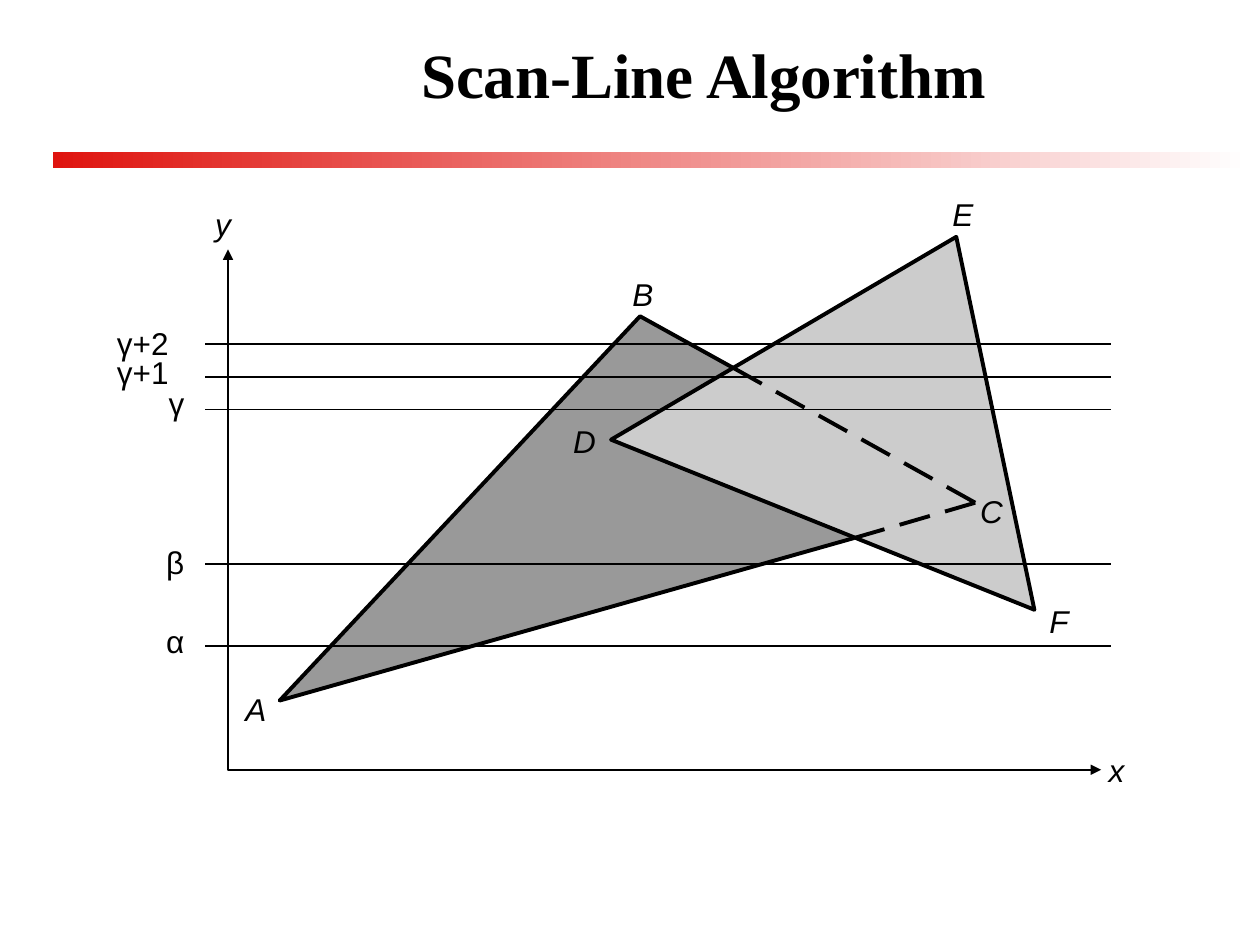
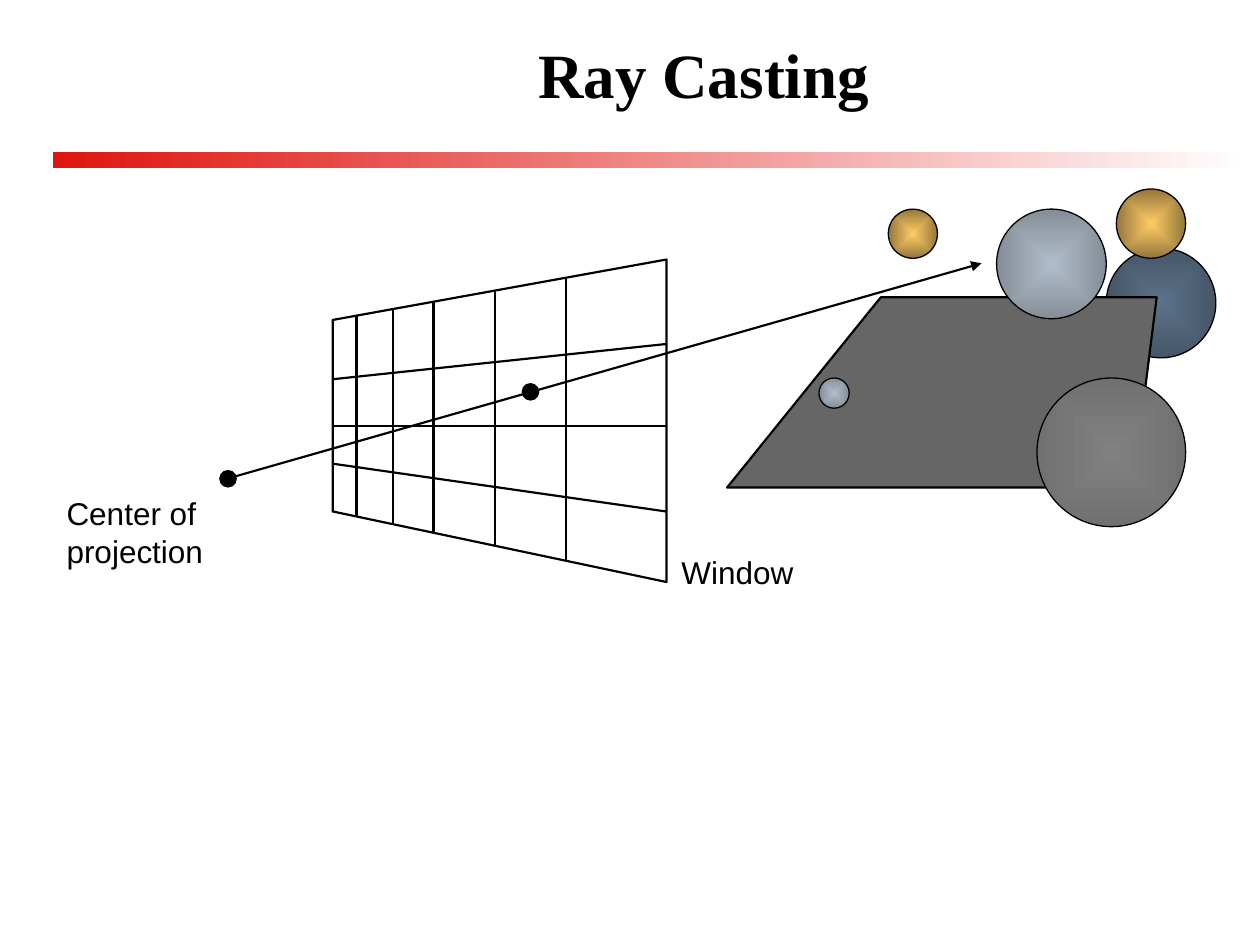
from dataclasses import dataclass

from lxml import etree
from pptx import Presentation
from pptx.dml.color import RGBColor
from pptx.enum.shapes import MSO_CONNECTOR, MSO_SHAPE
from pptx.enum.text import MSO_ANCHOR, PP_ALIGN
from pptx.oxml.ns import qn
from pptx.util import Inches, Pt

STRAIGHT = MSO_CONNECTOR.STRAIGHT
RECT, OVAL = MSO_SHAPE.RECTANGLE, MSO_SHAPE.OVAL
LEFT, CENTER = PP_ALIGN.LEFT, PP_ALIGN.CENTER
TOP, MIDDLE = MSO_ANCHOR.TOP, MSO_ANCHOR.MIDDLE
SLIDE_W, SLIDE_H = Inches(10), Inches(7.5)
BLACK, WHITE, RED = "000000", "FFFFFF", "DF140F"
DARK, LIGHT, TABLE = "999999", "CCCCCC", "666666"
GOLD, PALE = ("FFCC66", "94763B"), ("B0BDCA", "858E98")
BLUE, GREY = ("5B7289", "455667"), ("808080", "717171")
THIN, EDGE, THICK, RIM = 1.13, 1.25, 2.25, 0.75


@dataclass
class Grid:
    left: float
    top: float
    width: float
    height: float
    cols: float
    rows: float

    def size(self, cols, rows):
        return round(self.width * cols / self.cols), round(self.height * rows / self.rows)

    def point(self, col, row):
        x, y = self.size(col, row)
        return round(self.left + x), round(self.top + y)

    def area(self, col, row, cols, rows):
        return *self.point(col, row), *self.size(cols, rows)


def rgb(color):
    return RGBColor.from_string(color)


def between(a, b, share):
    return tuple(m + (n - m) * share for m, n in zip(a, b))


def set_line(s, color, width, *ends):
    s.line.color.rgb = rgb(color)
    s.line.width = Pt(width)
    ln = s._element.spPr.find(qn("a:ln"))
    for end in ends:
        etree.SubElement(ln, qn(f"a:{end}"), {"type": "triangle"})


def set_gradient(s, colors, centered=False):
    s.fill.gradient()
    for stop, color in zip(s.fill.gradient_stops, colors):
        stop.color.rgb = rgb(color)
    if not centered:
        s.fill.gradient_angle = 0
        return
    grad = s._element.spPr.find(qn("a:gradFill"))
    grad.remove(grad.find(qn("a:lin")))
    ring = etree.SubElement(grad, qn("a:path"), {"path": "shape"})
    etree.SubElement(ring, qn("a:fillToRect"), dict.fromkeys("ltrb", "50000"))


def add_text(slide, grid, text, area, font="Arial", size=18, bold=False,
             italic=False, align=LEFT, anchor=TOP):
    tf = slide.shapes.add_textbox(*grid.area(*area)).text_frame
    tf.word_wrap = True
    tf.margin_right = 0 if align == LEFT else tf.margin_left
    tf.vertical_anchor = anchor
    p = tf.paragraphs[0]
    p.text = text
    p.alignment = align
    p.font.name, p.font.size = font, Pt(size)
    p.font.bold, p.font.italic = bold, italic
    p.font.color.rgb = rgb(BLACK)


def add_line(slide, grid, start, end, width, *ends):
    s = slide.shapes.add_connector(STRAIGHT, *grid.point(*start), *grid.point(*end))
    set_line(s, BLACK, width, *ends)
    etree.SubElement(s._element.spPr, qn("a:effectLst"))


def add_dashes(slide, grid, start, end, count):
    units = 3 * count - 1
    for i in range(count):
        add_line(slide, grid, between(start, end, 3 * i / units),
                 between(start, end, (3 * i + 2) / units), THICK)


def add_outline(slide, grid, points, fill=None, width=None, close=True, ends=()):
    first, *rest = [grid.point(*point) for point in points]
    builder = slide.shapes.build_freeform(*first)
    builder.add_line_segments(rest, close=close)
    s = builder.convert_to_shape()
    s.shadow.inherit = False
    if fill:
        s.fill.solid()
        s.fill.fore_color.rgb = rgb(fill)
    else:
        s.fill.background()
    if width:
        set_line(s, BLACK, width, *ends)
    else:
        s.line.fill.background()


def add_preset(slide, grid, kind, area):
    s = slide.shapes.add_shape(kind, *grid.area(*area))
    s.shadow.inherit = False
    s.line.fill.background()
    return s


def add_sphere(slide, grid, col, row, size, colors):
    s = add_preset(slide, grid, OVAL, (col, row, size, size))
    set_gradient(s, colors, centered=True)
    set_line(s, BLACK, RIM)


def add_dot(slide, grid, col, row):
    s = add_preset(slide, grid, OVAL, (col, row, 1.4, 1.4))
    s.fill.solid()
    s.fill.fore_color.rgb = rgb(BLACK)


def title_slide(prs, title):
    slide = prs.slides.add_slide(prs.slide_layouts[6])
    grid = Grid(0, 0, SLIDE_W, SLIDE_H, 100, 75)
    for row in (12.1, 12.5):
        band = add_preset(slide, grid, RECT, (4.2, row, 95, 0.8))
        set_gradient(band, (RED, WHITE))
    add_text(slide, grid, title, (11.7, 1.7, 88.3, 8.3), "Times New Roman", 36,
             bold=True, align=CENTER, anchor=MIDDLE)
    return slide


def scan_line_diagram(slide, grid):
    a, b, c = (14.2, 40.6), (42.8, 10.1), (69.4, 24.9)
    d, e, f = (40.5, 19.9), (67.9, 3.8), (74.1, 33.4)
    upper_cross, lower_cross = (50.2, 14.2), (59.8, 27.7)
    visible = [upper_cross, b, a, lower_cross]

    add_outline(slide, grid, visible, fill=DARK)
    add_outline(slide, grid, [(10.1, 4.8), (10.1, 46.1), (79.4, 46.1)],
                width=THIN, close=False, ends=("headEnd", "tailEnd"))
    add_outline(slide, grid, [e, d, f], fill=LIGHT, width=THICK)
    add_outline(slide, grid, visible, width=THICK, close=False)
    add_dashes(slide, grid, upper_cross, c, 6)
    add_dashes(slide, grid, c, lower_cross, 3)

    scan_lines = [("γ+2", 12.3, 0.3, 10.2, 8.5), ("γ+1", 14.9, 0.3, 12.5, 8.5),
                  ("γ", 17.5, 4.4, 15, 4.5), ("β", 29.8, 4.2, 27.6, 4.5),
                  ("α", 36.25, 4.2, 33.9, 4.5)]
    for text, level, col, row, cols in scan_lines:
        add_line(slide, grid, (8.3, level), (80.2, level), THIN)
        add_text(slide, grid, text, (col, row, cols, 4))

    names = [("x", 79, 44.1), ("y", 8.1, 0.8), ("A", 10.5, 39.3), ("B", 41.2, 6.3),
             ("C", 68.8, 23.6), ("D", 36.5, 18), ("E", 66.6, 0), ("F", 74.3, 32.3)]
    for text, col, row in names:
        add_text(slide, grid, text, (col, row, 4, 4), italic=True)


def window(slide, grid):
    corners = [(22.4, 10.4), (48.9, 5.6), (48.9, 31.2), (22.4, 25.6)]
    top_left, top_right, bottom_right, bottom_left = corners
    left, right = top_left[0], top_right[0]
    add_outline(slide, grid, corners, width=EDGE)
    for start, end in ((15.1, 12.3), (18.8, 18.8), (21.8, 25.6)):
        add_line(slide, grid, (left, start), (right, end), EDGE)
    for col in (24.3, 27.2, 30.4, 35.3, 40.9):
        share = (col - left) / (right - left)
        add_line(slide, grid, between(top_left, top_right, share),
                 between(bottom_left, bottom_right, share), EDGE)


def ray_casting_diagram(slide, grid):
    add_sphere(slide, grid, 83.8, 4.7, 8.7, BLUE)
    table = [(65.9, 8.6), (87.8, 8.6), (85.9, 23.7), (53.7, 23.7)]
    add_outline(slide, grid, [(col - 0.1, row - 0.1) for col, row in table], fill=WHITE)
    add_outline(slide, grid, table, fill=TABLE, width=EDGE)

    window(slide, grid)
    add_line(slide, grid, (14, 23), (73.9, 5.9), EDGE, "tailEnd")
    add_dot(slide, grid, 37.4, 15.4)
    add_dot(slide, grid, 13.4, 22.3)
    add_text(slide, grid, "Window", (49.1, 28.4, 13.4, 4))
    add_text(slide, grid, "Center of\vprojection", (0.3, 23.7, 16.4, 7))

    for sphere in ((78.3, 15, 11.8, GREY), (75.1, 1.6, 8.7, PALE), (84.6, 0, 5.5, GOLD),
                   (66.5, 1.6, 3.9, GOLD), (61, 15, 2.4, PALE)):
        add_sphere(slide, grid, *sphere)


def main():
    prs = Presentation()
    prs.slide_width, prs.slide_height = SLIDE_W, SLIDE_H
    scan_line_diagram(title_slide(prs, "Scan-Line Algorithm"),
                      Grid(SLIDE_W * 0.08, SLIDE_H * 0.2, SLIDE_W * 0.83, SLIDE_H * 0.64, 83, 48))
    ray_casting_diagram(title_slide(prs, "Ray Casting"),
                        Grid(SLIDE_W * 0.04, SLIDE_H * 0.2, SLIDE_W * 0.93, SLIDE_H * 0.44, 93, 33))
    prs.save("out.pptx")


if __name__ == "__main__":
    main()
